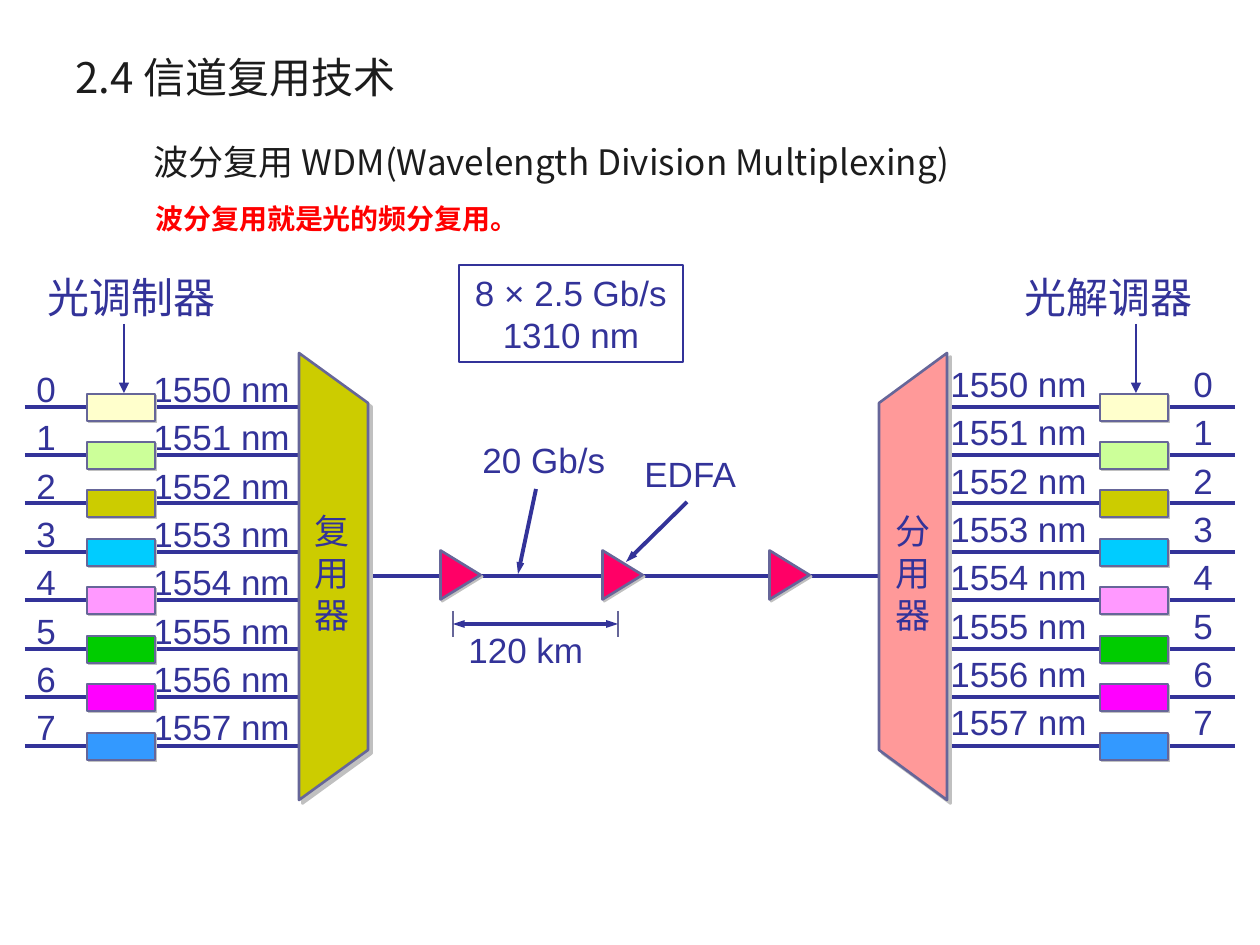
import dataclasses

import pptx
import pptx.dml.color
import pptx.enum.shapes
import pptx.enum.text
import pptx.oxml.ns
import pptx.oxml.xmlchemy
import pptx.util

SCALE = 914400 / 126
SHAPE = pptx.enum.shapes.MSO_SHAPE
ANCHOR = pptx.enum.text.MSO_ANCHOR
ALIGN = pptx.enum.text.PP_ALIGN


@dataclasses.dataclass(frozen=True)
class Theme:
    ink: str = "1C1C1C"
    accent: str = "FF0000"
    line: str = "333399"
    edge: str = "666699"
    shadow: str = "C0C0C0"
    amplifier: str = "FF0066"
    mux: str = "CCCC00"
    demux: str = "FF9999"
    channels: tuple = ("FFFFCC", "CCFF99", "CCCC00", "00CCFF",
                       "FF99FF", "00CC00", "FF00FF", "3399FF")
    cjk: str = "Noto Sans CJK SC"
    latin: str = "Arial"
    serif: str = "Times New Roman"
    heading: str = "Cabin"
    large: int = 24
    normal: int = 20
    small: int = 16
    thick: float = 2.25
    medium: float = 1.5
    thin: float = 0.75


T = Theme()


def px(n):
    return pptx.util.Emu(round(n * SCALE))


def rgb(value):
    return pptx.dml.color.RGBColor.from_string(value)


def add_xml(parent, tag, **attrs):
    e = pptx.oxml.xmlchemy.OxmlElement(tag)
    for name, value in attrs.items():
        e.set(name, str(value))
    parent.append(e)
    return e


def write_text(tf, text, *, size=T.normal, font=T.latin, color=T.line, bold=False,
               align=ALIGN.LEFT, anchor=ANCHOR.TOP, wrap=False, spacing=None,
               before=None, indent=None, tab=None):
    """Fill a text frame, one paragraph for each line of the text."""
    tf.auto_size = pptx.enum.text.MSO_AUTO_SIZE.NONE
    tf.word_wrap = wrap
    tf.vertical_anchor = anchor
    for i, line in enumerate(text.split("\n")):
        p = tf.add_paragraph() if i else tf.paragraphs[0]
        p.alignment = align
        if spacing:
            p.line_spacing = spacing
        if before is not None:
            p.space_before = pptx.util.Pt(before)
        pPr = p._p.get_or_add_pPr()
        if indent is not None:
            pPr.set("marL", str(px(indent)))
            pPr.set("indent", "0")
            add_xml(pPr, "a:buNone")
        if tab is not None:
            add_xml(add_xml(pPr, "a:tabLst"), "a:tab", pos=px(tab), algn="l")
        r = p.add_run()
        r.text = line
        r.font.size = pptx.util.Pt(size)
        r.font.name = font
        r.font.bold = bold
        r.font.color.rgb = rgb(color)
        add_xml(r._r.get_or_add_rPr(), "a:ea", typeface=T.cjk)


def add_label(s, text, x, y, w, h, **style):
    write_text(s.shapes.add_textbox(px(x), px(y), px(w), px(h)).text_frame, text, **style)


def fill_placeholder(sp, text, x, y, w, h, **style):
    sp.left, sp.top, sp.width, sp.height = px(x), px(y), px(w), px(h)
    write_text(sp.text_frame, text, font=T.cjk, wrap=True, **style)


def add_line(s, x1, y1, x2, y2, *, color=T.line, width=T.thick, head=False, tail=False):
    c = s.shapes.add_connector(pptx.enum.shapes.MSO_CONNECTOR.STRAIGHT,
                               px(x1), px(y1), px(x2), px(y2))
    c.line.color.rgb = rgb(color)
    c.line.width = pptx.util.Pt(width)
    arrow_width = "sm" if width == T.thick else "med"
    for tag, wanted in (("a:headEnd", head), ("a:tailEnd", tail)):
        if wanted:
            add_xml(c.line._get_or_add_ln(), tag, type="triangle", w=arrow_width, len="med")
    add_xml(c._element.spPr, "a:effectLst")


def paint(sp, fill, width, shadow):
    """Give a shape its fill, edge and a hard shadow to the lower right."""
    sp.fill.solid()
    sp.fill.fore_color.rgb = rgb(fill)
    sp.line.color.rgb = rgb(T.edge)
    sp.line.width = pptx.util.Pt(width)
    sp.shadow.inherit = False
    effects = sp._element.spPr.find(pptx.oxml.ns.qn("a:effectLst"))
    outer = add_xml(effects, "a:outerShdw", dist=pptx.util.Pt(shadow),
                    dir=45 * 60000, algn="ctr", rotWithShape=0)
    add_xml(outer, "a:srgbClr", val=T.shadow)


def add_block(s, x, y, fill):
    sp = s.shapes.add_shape(SHAPE.RECTANGLE, px(x), px(y), px(68), px(27))
    paint(sp, fill, T.thin, 1.4)


def add_amplifier(s, x):
    sp = s.shapes.add_shape(SHAPE.ISOSCELES_TRIANGLE, px(x), px(555), px(49), px(40))
    sp.rotation = 90
    paint(sp, T.amplifier, T.medium, 1.4)


def add_trapezoid(s, outer, inner, fill):
    """Draw a multiplexer, tall at the outer side and short at the inner one."""
    b = s.shapes.build_freeform(outer, 353, scale=SCALE)
    b.add_line_segments([(inner, 403), (inner, 750), (outer, 800)], close=True)
    paint(b.convert_to_shape(), fill, T.medium, 2.8)


def add_rate_box(s):
    sp = s.shapes.add_shape(SHAPE.RECTANGLE, px(459), px(265), px(224), px(97))
    sp.fill.background()
    sp.line.color.rgb = rgb(T.line)
    sp.line.width = pptx.util.Pt(T.thin)
    sp.shadow.inherit = False
    write_text(sp.text_frame, "8 × 2.5 Gb/s\n1310 nm", align=ALIGN.CENTER)


def add_channels(s):
    rows = [(str(i), f"{1550 + i} nm") for i in range(len(T.channels))]
    senders = "\n".join(f"{number}\t{wave}" for number, wave in rows)
    receivers = "\n".join(f"{wave}\t{number}" for number, wave in rows)
    add_label(s, receivers, 938, 350, 300, 400, wrap=True, spacing=1.15, tab=243)
    add_label(s, senders, 24, 355, 318, 400, wrap=True, spacing=1.15, tab=117)
    for i, color in enumerate(T.channels):
        y = 407 + 339 * i // 7
        for line_x, block_x in ((25, 87), (948, 1100)):
            add_line(s, line_x, y, line_x + 287, y)
            add_block(s, block_x, y - 13, color)


def add_link(s):
    add_line(s, 320, 576, 940, 576)
    for x in (436, 598, 765):
        add_amplifier(s, x)
    add_label(s, "20 Gb/s", 470, 432, 147, 55)
    add_line(s, 536, 489, 518, 574, tail=True)
    add_label(s, "EDFA", 632, 446, 118, 55)
    add_line(s, 687, 502, 626, 562, tail=True)
    for x in (453, 618):
        add_line(s, x, 611, x, 637, color=T.edge, width=T.thin)
    add_line(s, 453, 624, 618, 624, head=True, tail=True)
    add_label(s, "120 km", 456, 622, 140, 55)


def main():
    prs = pptx.Presentation()
    prs.slide_width, prs.slide_height = px(1260), px(945)
    s = prs.slides.add_slide(prs.slide_layouts[1])
    fill_placeholder(s.shapes.title, "波分复用 WDM(Wavelength Division Multiplexing)",
                     141, 106, 1074, 110, color=T.ink, anchor=ANCHOR.MIDDLE)
    fill_placeholder(s.placeholders[1], "波分复用就是光的频分复用。", 95, 195, 1142, 567,
                     size=T.small, color=T.accent, bold=True, before=4, indent=48)
    add_label(s, "2.4 信道复用技术", 63, 38, 1134, 77, size=T.large, font=T.cjk,
              color=T.ink, anchor=ANCHOR.MIDDLE, wrap=True)
    add_channels(s)
    add_rate_box(s)
    add_link(s)
    add_trapezoid(s, 299, 368, T.mux)
    add_trapezoid(s, 947, 879, T.demux)
    for text, x in (("复\n用\n器", 302), ("分\n用\n器", 883)):
        add_label(s, text, x, 503, 60, 139, font=T.serif)
    for text, x, arrow_x in (("光调制器", 35, 124), ("光解调器", 1012, 1136)):
        add_label(s, text, x, 265, 193, 63, size=T.large, font=T.heading)
        add_line(s, arrow_x, 324, arrow_x, 393, width=T.thin, tail=True)
    prs.save("out.pptx")


if __name__ == "__main__":
    main()
